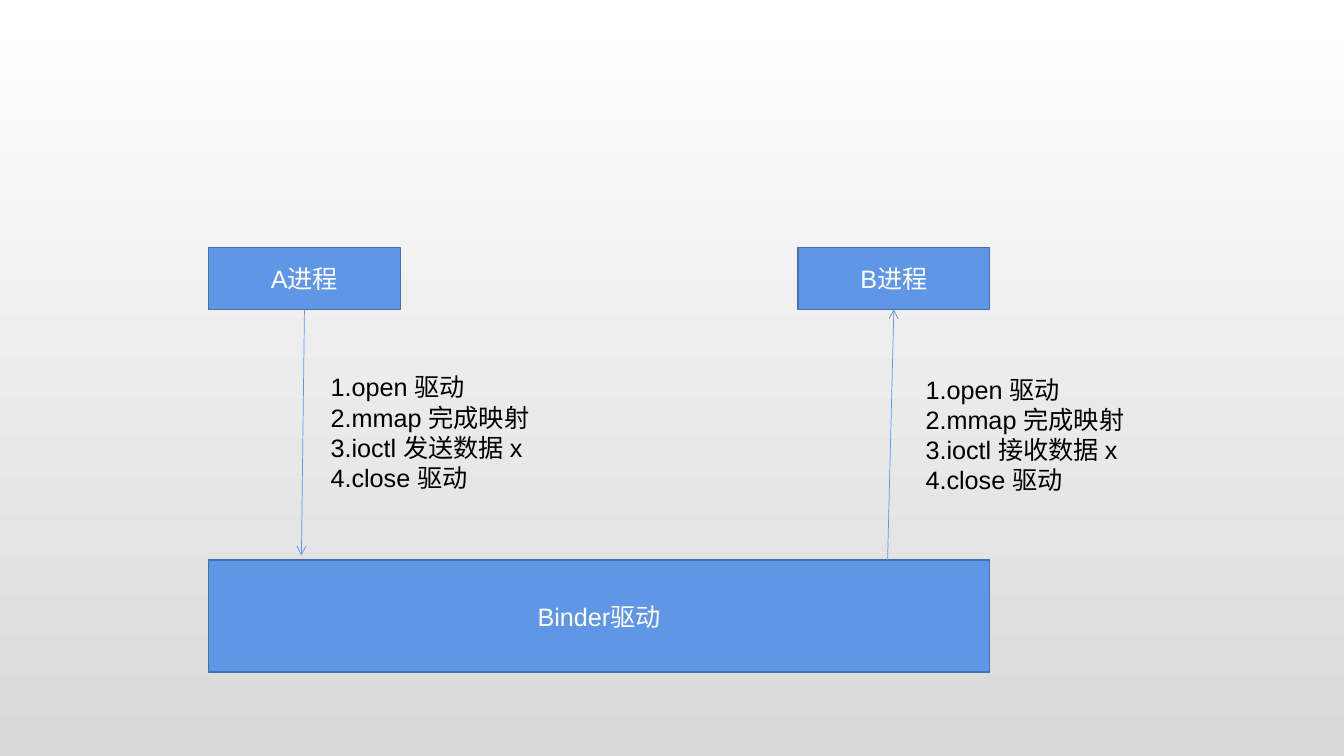
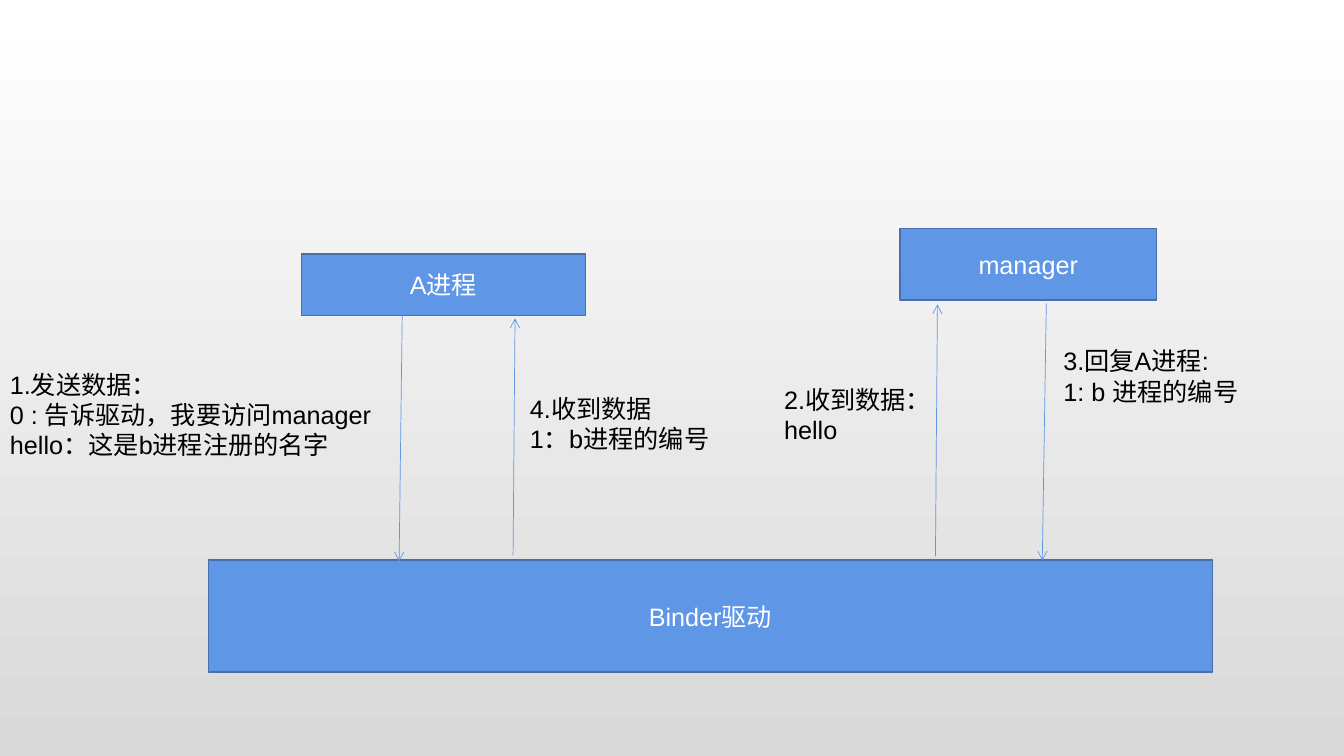
from dataclasses import dataclass

from lxml import etree
from pptx import Presentation
from pptx.dml.color import RGBColor
from pptx.enum.shapes import MSO_CONNECTOR, MSO_SHAPE
from pptx.enum.text import MSO_ANCHOR, MSO_AUTO_SIZE, PP_ALIGN
from pptx.oxml.ns import qn
from pptx.util import Pt

RECTANGLE = MSO_SHAPE.RECTANGLE
STRAIGHT = MSO_CONNECTOR.STRAIGHT
CENTER, LEFT = PP_ALIGN.CENTER, PP_ALIGN.LEFT
MIDDLE, TOP = MSO_ANCHOR.MIDDLE, MSO_ANCHOR.TOP
FIT_SHAPE, NO_FIT = MSO_AUTO_SIZE.SHAPE_TO_FIT_TEXT, MSO_AUTO_SIZE.NONE

SLIDE_WIDTH, SLIDE_HEIGHT = 960, 540
BLUE, OUTLINE = "6096E6", "476FAA"
WHITE, BLACK, GREY = "FFFFFF", "000000", "D9D9D9"

FONT = {"name": "Arial", "size": Pt(18)}
BLOCK_FRAME = {"word_wrap": True, "vertical_anchor": MIDDLE, "auto_size": NO_FIT}
NOTE_FRAME = {"word_wrap": True, "vertical_anchor": TOP, "auto_size": FIT_SHAPE}
LINE_HEIGHT, NOTE_PADDING = 21.6, 7.8

DRIVER_LEFT, DRIVER_TOP, DRIVER_HEIGHT = 149, 400, 80
PROCESS_HEIGHT = 44


@dataclass
class Box:
    left: float
    top: float
    width: float
    height: float

    def point(self, offset):
        return self.left + offset[0], self.top + offset[1]

    def lengths(self):
        return [Pt(v) for v in (self.left, self.top, self.width, self.height)]


@dataclass
class Message:
    start: tuple
    end: tuple
    note: tuple
    note_width: float
    lines: list


def color(hex_value):
    return RGBColor.from_string(hex_value)


def apply(target, values):
    for name, value in values.items():
        setattr(target, name, value)


def write(frame, lines, frame_format, align, text_color):
    apply(frame, frame_format)
    frame.text = "\n".join(lines)
    for paragraph in frame.paragraphs:
        paragraph.alignment = align
        for run in paragraph.runs:
            apply(run.font, FONT)
            run.font.color.rgb = color(text_color)


def draw_block(slide, box, label):
    block = slide.shapes.add_shape(RECTANGLE, *box.lengths())
    block.shadow.inherit = False
    block.fill.solid()
    block.fill.fore_color.rgb = color(BLUE)
    block.line.color.rgb = color(OUTLINE)
    block.line.width = Pt(1)
    write(block.text_frame, [label], BLOCK_FRAME, CENTER, WHITE)


def draw_arrow(slide, start, end):
    arrow = slide.shapes.add_connector(STRAIGHT, *[Pt(v) for v in (*start, *end)])
    arrow.line.color.rgb = color(BLUE)
    arrow.line.width = Pt(0.5)
    properties = arrow._element.spPr
    etree.SubElement(properties.find(qn("a:ln")), qn("a:tailEnd"), type="arrow")
    etree.SubElement(properties, qn("a:effectLst"))


def draw_note(slide, box, lines):
    note = slide.shapes.add_textbox(*box.lengths())
    write(note.text_frame, lines, NOTE_FRAME, LEFT, BLACK)


def draw_process(slide, box, label, messages):
    draw_block(slide, box, label)
    for message in messages:
        draw_arrow(slide, box.point(message.start), box.point(message.end))
        note_height = LINE_HEIGHT * len(message.lines) + NOTE_PADDING
        note_box = Box(*box.point(message.note), message.note_width, note_height)
        draw_note(slide, note_box, message.lines)


def draw_diagram(prs, driver_width, processes):
    slide = prs.slides.add_slide(prs.slide_layouts[6])
    driver = Box(DRIVER_LEFT, DRIVER_TOP, driver_width, DRIVER_HEIGHT)
    draw_block(slide, driver, "Binder驱动")
    for box, label, messages in processes:
        draw_process(slide, box, label, messages)


def set_background(master):
    fill = master.background.fill
    fill.gradient()
    fill.gradient_angle = 270
    for stop, position, shade in zip(fill.gradient_stops, (0, 1), (WHITE, GREY)):
        stop.position = position
        stop.color.rgb = color(shade)


def driver_steps(transfer):
    return ["1.open 驱动", "2.mmap 完成映射", f"3.ioctl {transfer}数据 x", "4.close 驱动"]


def add_transfer_slide(prs):
    driver_width, process_width = 558, 137
    middle = process_width / 2
    sender = Box(DRIVER_LEFT, 177, process_width, PROCESS_HEIGHT)
    receiver_left = DRIVER_LEFT + driver_width - process_width
    receiver = Box(receiver_left, 177, process_width, PROCESS_HEIGHT)
    sending = Message((middle, PROCESS_HEIGHT), (66.3, 219.7), (80, 85), 182,
                      driver_steps("发送"))
    receiving = Message((64, 223), (middle, PROCESS_HEIGHT), (84, 86.5), 182,
                        driver_steps("接收"))
    draw_diagram(prs, driver_width, [
        (sender, "A进程", [sending]),
        (receiver, "B进程", [receiving]),
    ])


def add_lookup_slide(prs):
    client = Box(215.3, 181.4, 203, PROCESS_HEIGHT)
    manager = Box(643, 163.4, 183, 51)
    client_messages = [
        Message((72, PROCESS_HEIGHT), (69.8, 219.6), (-215.3, 78.5), 301,
                ["1.发送数据：", "0 : 告诉驱动，我要访问manager", "hello：这是b进程注册的名字"]),
        Message((151.2, 215.3), (152.6, 46), (156.2, 95.8), 160.6,
                ["4.收到数据", "1：b进程的编号"]),
    ]
    manager_messages = [
        Message((25.2, 234), (26.6, 54), (-90, 107.3), 124,
                ["2.收到数据：", "hello"]),
        Message((104.4, 53.3), (101.5, 237), (109.4, 80), 181.4,
                ["3.回复A进程:", "1: b 进程的编号"]),
    ]
    draw_diagram(prs, 717, [
        (client, "A进程", client_messages),
        (manager, "manager", manager_messages),
    ])


def main():
    prs = Presentation()
    apply(prs, {"slide_width": Pt(SLIDE_WIDTH), "slide_height": Pt(SLIDE_HEIGHT)})
    set_background(prs.slide_master)
    add_transfer_slide(prs)
    add_lookup_slide(prs)
    prs.save("out.pptx")


if __name__ == "__main__":
    main()
